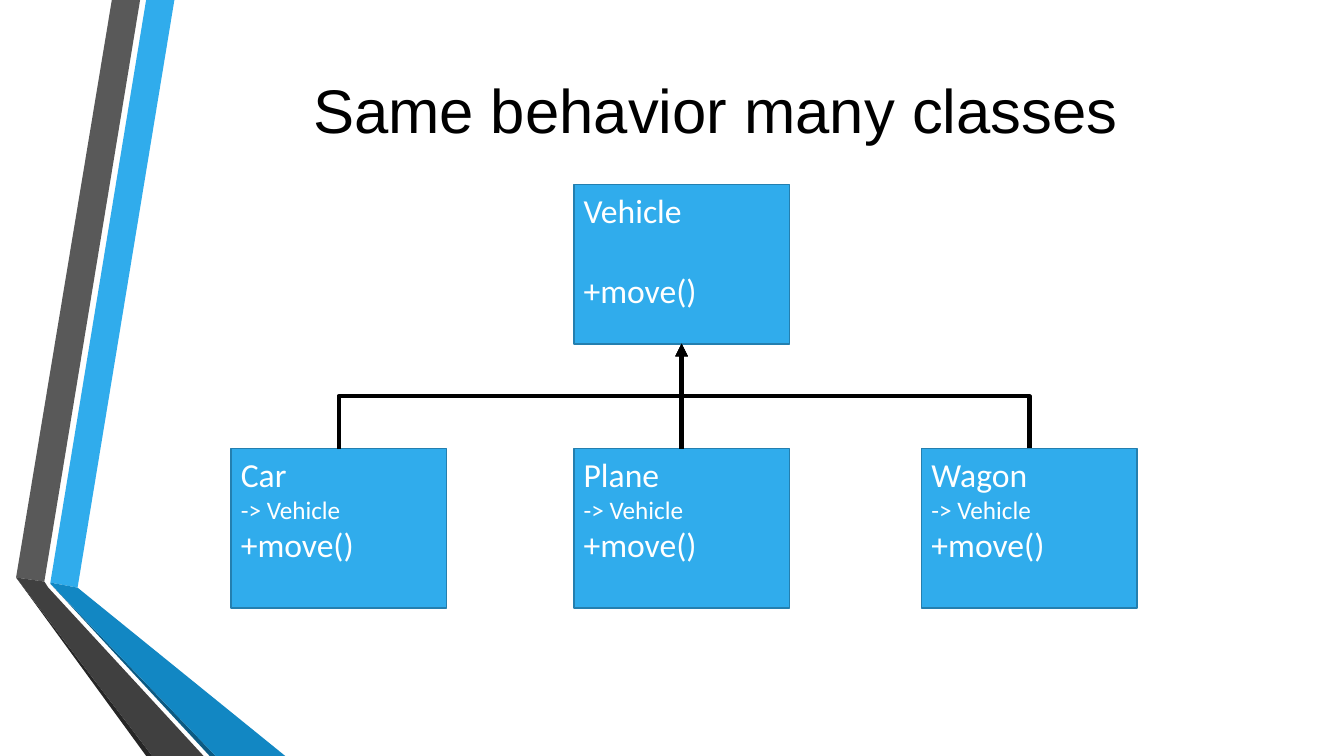
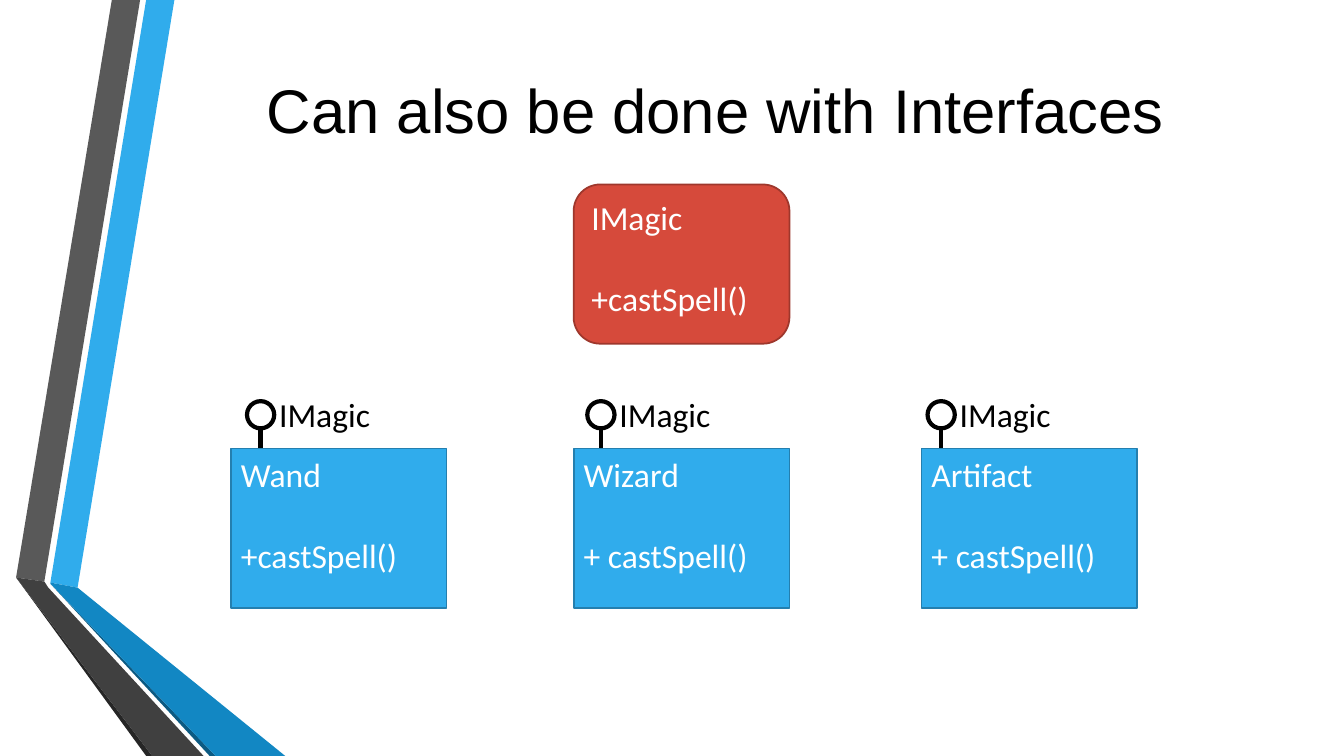
from typing import NamedTuple

from lxml.etree import SubElement
from pptx import Presentation
from pptx.dml.color import RGBColor
from pptx.enum.shapes import MSO_CONNECTOR, MSO_SHAPE
from pptx.enum.text import MSO_ANCHOR, PP_ALIGN
from pptx.oxml.ns import qn
from pptx.shapes.autoshape import Shape
from pptx.shapes.connector import Connector
from pptx.slide import Slide, SlideLayout
from pptx.util import Inches, Pt

BLACK = RGBColor(0x00, 0x00, 0x00)
WHITE = RGBColor(0xFF, 0xFF, 0xFF)
BLUE = RGBColor(0x30, 0xAC, 0xEC)
EDGE = RGBColor(0x24, 0x7F, 0xAF)
RED = RGBColor(0xD6, 0x4A, 0x3B)
RUST = RGBColor(0x9E, 0x37, 0x2C)
OCEAN = RGBColor(0x12, 0x87, 0xC3)
NAVY = RGBColor(0x0C, 0x5A, 0x82)
GRAY = RGBColor(0x59, 0x59, 0x59)
COAL = RGBColor(0x40, 0x40, 0x40)
SOOT = RGBColor(0x26, 0x26, 0x26)

BOX_W, BOX_H = 2.14, 1.58
TOP_Y, LOW_Y = 1.83, 4.45
COLS = (2.29, 5.69, 9.14)
RING = 0.27
RING_X, RING_Y, RING_STEP = 2.45, 3.98, 3.375


class Band(NamedTuple):
    color: RGBColor
    points: tuple[tuple[float, float], ...]


class Box(NamedTuple):
    name: str
    method: str
    base: str = ""
    kind: MSO_SHAPE = MSO_SHAPE.RECTANGLE
    fill: RGBColor = BLUE
    edge: RGBColor = EDGE


BANDS = (
    Band(BLUE, ((0.5, 5.78), (0.77, 5.83), (1.73, 0), (1.45, 0))),
    Band(GRAY, ((1.39, 0), (1.11, 0), (0.16, 5.73), (0.44, 5.77))),
    Band(SOOT, ((0.16, 5.73), (1.45, 7.5), (1.51, 7.5))),
    Band(NAVY, ((0.5, 5.79), (2.08, 7.5), (2.14, 7.5))),
    Band(OCEAN, ((0.5, 5.79), (2.14, 7.5), (2.83, 7.5), (0.77, 5.83), (0.5, 5.78))),
    Band(COAL, ((2.02, 7.5), (0.48, 5.83), (0.44, 5.77), (0.16, 5.73), (1.51, 7.5))),
)


def add_bands(slide: Slide, layout: SlideLayout) -> None:
    for place, band in enumerate(BANDS, start=2):
        start, *rest = [(Inches(x), Inches(y)) for x, y in band.points]
        pen = slide.shapes.build_freeform(*start)
        pen.add_line_segments(rest, close=True)
        shape = pen.convert_to_shape()
        shape.shadow.inherit = False
        shape.fill.solid()
        shape.fill.fore_color.rgb = band.color
        shape.line.fill.background()
        layout.shapes.element.insert(place, shape.element)


def set_title(slide: Slide, text: str) -> None:
    title = slide.shapes.title
    title.left, title.top = Inches(1.62), Inches(0.52)
    title.width, title.height = Inches(10.96), Inches(1.12)
    title.text_frame.text = text
    title.text_frame.vertical_anchor = MSO_ANCHOR.MIDDLE
    line = title.text_frame.paragraphs[0]
    line.alignment = PP_ALIGN.CENTER
    font = line.runs[0].font
    font.name, font.size = "Arial", Pt(44)
    font.color.rgb = BLACK


def add_box(slide: Slide, box: Box, left: float, top: float) -> Shape:
    shape = slide.shapes.add_shape(
        box.kind, Inches(left), Inches(top), Inches(BOX_W), Inches(BOX_H))
    shape.shadow.inherit = False
    shape.fill.solid()
    shape.fill.fore_color.rgb = box.fill
    shape.line.color.rgb = box.edge
    shape.line.width = Pt(1.25)
    frame = shape.text_frame
    frame.vertical_anchor = MSO_ANCHOR.TOP
    frame.text = "\n".join(filter(None, (box.name, box.base, box.method)))
    for line in frame.paragraphs:
        line.alignment = PP_ALIGN.LEFT
        font = line.runs[0].font
        font.name = "Calibri"
        font.size = Pt(18 if line.text == box.base else 24)
        font.color.rgb = WHITE
    if not box.base:
        frame.paragraphs[-1].space_before = Pt(29)
    return shape


def add_row(slide: Slide, boxes: tuple[Box, ...]) -> list[Shape]:
    return [add_box(slide, box, left, LOW_Y) for box, left in zip(boxes, COLS)]


def set_line(link: Connector) -> None:
    link.line.color.rgb = BLACK
    link.line.width = Pt(3)
    SubElement(link.element.spPr, qn("a:effectLst"))


def add_arrow(slide: Slide, child: Shape, parent: Shape) -> None:
    run = parent.left - child.left
    kind = MSO_CONNECTOR.ELBOW if run else MSO_CONNECTOR.STRAIGHT
    link = slide.shapes.add_connector(kind, 0, 0, 0, 0)
    link.begin_connect(child, 0)
    link.end_connect(parent, 2)
    if run:
        turn_up(link, run)
    set_line(link)
    SubElement(link.element.spPr.find(qn("a:ln")), qn("a:tailEnd"), type="triangle")


def turn_up(link: Connector, run: int) -> None:
    wide, high = link.width, link.height
    link.left += (wide - high) // 2
    link.top += (high - wide) // 2
    link.width, link.height = high, wide
    form = link.element.spPr.find(qn("a:xfrm"))
    form.set("rot", "16200000")
    form.set("flipH", "0")
    form.set("flipV", "1" if run < 0 else "0")


def add_ring(slide: Slide, left: float, text: str) -> None:
    shapes = slide.shapes.add_group_shape().shapes
    ring = shapes.add_shape(
        MSO_SHAPE.OVAL, Inches(left), Inches(RING_Y), Inches(RING), Inches(RING))
    ring.shadow.inherit = False
    ring.fill.background()
    ring.line.color.rgb = BLACK
    ring.line.width = Pt(3)
    mid = Inches(left + RING / 2)
    set_line(shapes.add_connector(
        MSO_CONNECTOR.STRAIGHT, mid, Inches(RING_Y + RING), mid, Inches(LOW_Y)))
    label = shapes.add_textbox(
        Inches(left + 0.22), Inches(3.86), Inches(1.13), Inches(0.5))
    label.text_frame.word_wrap = False
    label.text_frame.text = text
    font = label.text_frame.paragraphs[0].runs[0].font
    font.name, font.size = "Calibri", Pt(24)
    font.color.rgb = BLACK


def draw_tree(slide: Slide) -> None:
    set_title(slide, "Same behavior many classes")
    parent = add_box(slide, Box("Vehicle", "+move()"), COLS[1], TOP_Y)
    kids = tuple(Box(name, "+move()", "-> Vehicle") for name in ("Car", "Plane", "Wagon"))
    for child in add_row(slide, kids):
        add_arrow(slide, child, parent)


def draw_rings(slide: Slide) -> None:
    set_title(slide, "Can also be done with Interfaces")
    magic = Box("IMagic", "+castSpell()", "", MSO_SHAPE.ROUNDED_RECTANGLE, RED, RUST)
    for col in range(len(COLS)):
        add_ring(slide, RING_X + col * RING_STEP, magic.name)
    add_box(slide, magic, COLS[1], TOP_Y)
    add_row(slide, (
        Box("Wand", "+castSpell()"),
        Box("Wizard", "+ castSpell()"),
        Box("Artifact", "+ castSpell()"),
    ))


def main() -> None:
    deck = Presentation()
    deck.slide_width, deck.slide_height = Inches(13.33), Inches(7.5)
    layout = deck.slide_layouts[5]
    first = deck.slides.add_slide(layout)
    add_bands(first, layout)
    draw_tree(first)
    draw_rings(deck.slides.add_slide(layout))
    deck.save("out.pptx")


if __name__ == "__main__":
    main()
